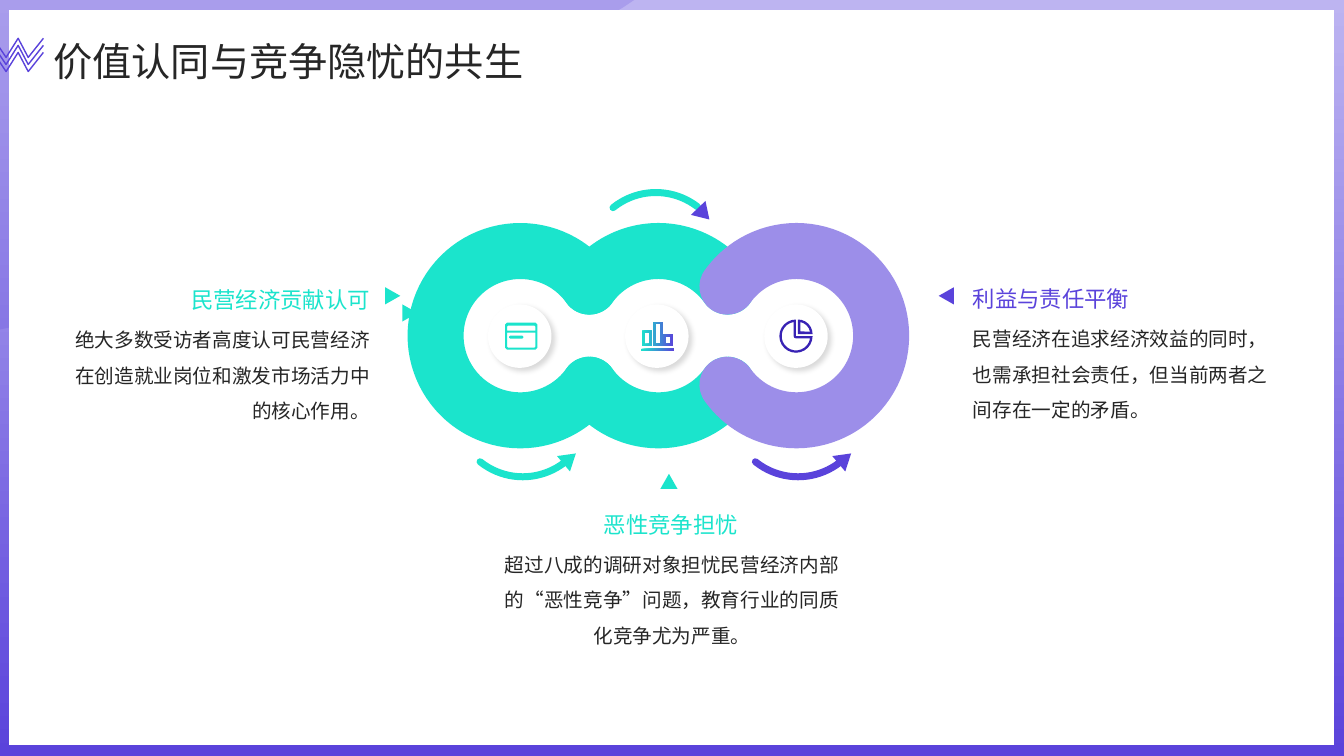
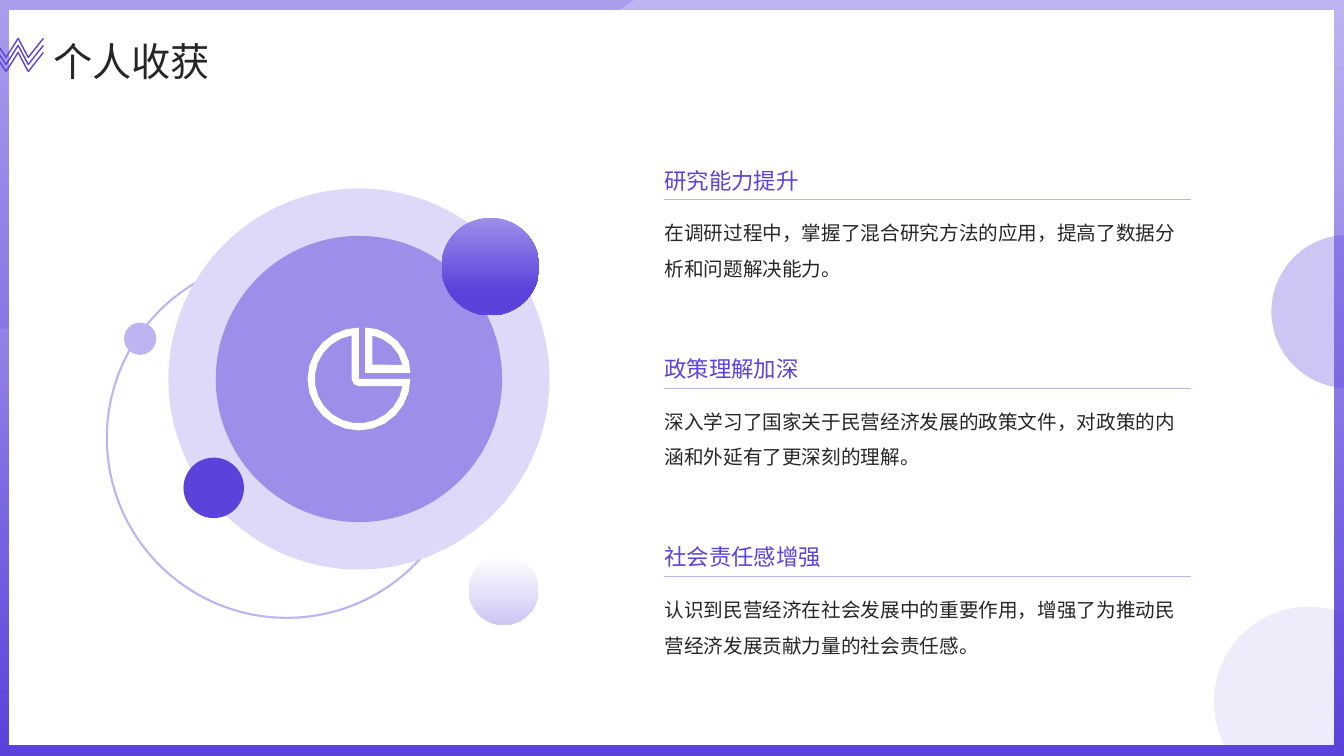
from math import acos, cos, degrees, radians, sin

from lxml import etree
from pptx import Presentation
from pptx.dml.color import RGBColor
from pptx.enum.lang import MSO_LANGUAGE_ID as LANG
from pptx.enum.shapes import MSO_CONNECTOR, MSO_SHAPE as SHAPE
from pptx.enum.text import MSO_ANCHOR as ANCHOR, MSO_AUTO_SIZE, PP_ALIGN as ALIGN
from pptx.oxml.ns import qn
from pptx.util import Inches, Pt

FONT = "Noto Sans CJK SC"
PURPLE, VIOLET, LILAC, PALE = "5A43DB", "9C8EE9", "BDB4F1", "DED9F8"
TEAL, INDIGO, INK, WHITE = "1BE4CC", "3822B4", "262626", "FFFFFF"
rgb = RGBColor.from_string


def write(sp, text, size=14, color=INK, align=ALIGN.LEFT, anchor=ANCHOR.TOP,
          spacing=1.5, inset=0.0):
    tf = sp.text_frame
    tf.word_wrap = True
    tf.auto_size = MSO_AUTO_SIZE.NONE
    tf.vertical_anchor = anchor
    tf.margin_left = tf.margin_right = Inches(inset)
    tf.margin_top = tf.margin_bottom = Inches(inset / 2)
    p = tf.paragraphs[0]
    p.alignment = align
    p.line_spacing = spacing
    p.space_before = Pt(0)
    r = p.add_run()
    r.text = text
    r.font.size = Pt(size)
    r.font.name = FONT
    r.font.color.rgb = rgb(color)
    r.font.language_id = LANG.SIMPLIFIED_CHINESE
    etree.SubElement(r.font._element, qn("a:ea"), typeface=FONT)


def draw(s, what, box=None, fill=None, line=None, width=1, alpha=None, rot=0,
         angles=None, gradient_angle=270, gradient_end=1):
    """Draw a preset shape, a "line" (box holds both ends) or a list of outlines.

    A pair of colours as fill gives a gradient; angles are the clockwise
    start and end of an arc. Outlines without a fill stay open.
    """
    if what == "line":
        sp = s.shapes.add_connector(MSO_CONNECTOR.STRAIGHT, *map(Inches, box))
    elif isinstance(what, list):
        outlines = [[(Inches(x), Inches(y)) for x, y in points] for points in what]
        builder = s.shapes.build_freeform(*outlines[0][0], scale=1.0)
        for n, points in enumerate(outlines):
            if n:
                builder.move_to(*points[0])
            builder.add_line_segments(points[1:], close=fill is not None)
        sp = builder.convert_to_shape()
    else:
        sp = s.shapes.add_shape(what, *map(Inches, box))
        sp.rotation = rot
    if angles:
        for n, angle in enumerate(angles):
            sp.adjustments[n] = angle % 360 * 0.6
    if line:
        sp.line.color.rgb = rgb(line)
        sp.line.width = Pt(width)
        if angles:
            sp.element.spPr.get_or_add_ln().set("cap", "rnd")
    else:
        sp.line.fill.background()
    if what == "line":
        etree.SubElement(sp.element.spPr, qn("a:effectLst"))
        return sp
    if fill is None:
        sp.fill.background()
    elif isinstance(fill, tuple):
        sp.fill.gradient()
        sp.fill.gradient_angle = gradient_angle
        for stop, color, place in zip(sp.fill.gradient_stops, fill, (0, gradient_end)):
            stop.color.rgb = rgb(color)
            stop.position = place
    else:
        sp.fill.solid()
        sp.fill.fore_color.rgb = rgb(fill)
        if alpha:
            color = sp.element.spPr.find(qn("a:solidFill")).find(qn("a:srgbClr"))
            etree.SubElement(color, qn("a:alpha"), val=str(alpha * 1000))
    sp.shadow.inherit = False
    return sp


prs = Presentation()
prs.slide_width, prs.slide_height = Inches(13.33), Inches(7.5)

# Shared frame, title and zigzag
corner = [(-0.01, -0.02), (6.32, -0.02), (6.17, 0.08), (5.64, 0.38), (3.76, 0.24),
          (2.37, 1.24), (0.96, 1.59), (0.61, 2.92), (0.3, 3.17), (0.09, 3.25),
          (-0.01, 3.27)]
zigzag = [(-0.46, 0.6), (-0.33, 0.38), (-0.21, 0.57), (-0.06, 0.39),
          (0.06, 0.57), (0.18, 0.38), (0.28, 0.57), (0.43, 0.38)]
for heading in ("价值认同与竞争隐忧的共生", "个人收获"):
    s = prs.slides.add_slide(prs.slide_layouts[5])
    draw(s, SHAPE.RECTANGLE, (0, 0, 13.33, 7.5), (LILAC, PURPLE))
    draw(s, [corner], fill=PURPLE, alpha=20)
    draw(s, SHAPE.RECTANGLE, (0.09, 0.1, 13.14, 7.29), WHITE)
    for n in range(3):
        draw(s, [[(x, y + 0.07 * n) for x, y in zigzag]], line=PURPLE)
    title = s.shapes.title
    title.left, title.top, title.width, title.height = map(
        Inches, (0.43, 0.25, 11.88, 0.56))
    write(title, heading, size=28, anchor=ANCHOR.MIDDLE, spacing=1.3, inset=0.1)
    s.shapes.element.append(title.element)
chain_slide, gains_slide = prs.slides

# Pie icon outlines in a unit square: corner points, then arc (cx, cy, r, from, to)
pie_parts = [
    ([(0.5, 0.5)], (0.5, 0.5, 0.5, 0, 270)),
    ([(0.43, 0.5), (0.45, 0.55), (0.5, 0.57)], (0.5, 0.5, 0.43, 9.4, 260.6)),
    ([(0.56, 0.44)], (0.56, 0.44, 0.44, 270, 360)),
    ([(0.63, 0.36)], (0.56, 0.44, 0.37, 281, 348)),
]
pies = []
for left, top, size in ((7.73, 3.17, 0.33), (3.05, 3.25, 1.02)):
    pie = []
    for corners, (cx, cy, radius, start, end) in pie_parts:
        steps = round((end - start) / 15)
        turns = [radians(start + (end - start) * n / steps) for n in range(steps + 1)]
        points = corners + [(cx + radius * cos(t), cy + radius * sin(t)) for t in turns]
        pie.append([(left + size * x, top + size * y) for x, y in points])
    pies.append(pie)
chain_pie, gains_pie = pies

# Slide 1: chain of three rings
s = chain_slide
for left, top, start, end, line, head_box, head_rot, head_color in (
        (5.83, 1.91, 231, 307.7, TEAL, (6.88, 2.04, 0.2, 0.16), 136, PURPLE),
        (4.51, 3.38, 52.1, 128.8, TEAL, (5.55, 4.47, 0.2, 0.16), 50, TEAL),
        (7.24, 3.38, 52.1, 128.8, PURPLE, (8.28, 4.47, 0.2, 0.16), 50, PURPLE)):
    draw(s, SHAPE.ARC, (left, top, 1.35, 1.35), line=line, width=5, angles=(start, end))
    draw(s, SHAPE.ISOSCELES_TRIANGLE, head_box, head_color, rot=head_rot)

for left, top, rot, color in ((9.3, 2.86, 270, PURPLE), (3.81, 2.86, 90, TEAL),
                              (6.55, 4.7, 0, TEAL), (3.98, 3.03, 90, TEAL)):
    draw(s, SHAPE.ISOSCELES_TRIANGLE, (left, top, 0.17, 0.15), color, rot=rot)

for head_box, body_box, align, color, head, body in (
        ((0.71, 2.53, 2.96, 0.58), (0.72, 3.14, 2.95, 1.84), ALIGN.RIGHT, TEAL,
         "民营经济贡献认可",
         "绝大多数受访者高度认可民营经济在创造就业岗位和激发市场活力中的核心作用。"),
        ((9.65, 2.52, 2.96, 0.58), (9.65, 3.13, 2.95, 1.87), ALIGN.LEFT, PURPLE,
         "利益与责任平衡",
         "民营经济在追求经济效益的同时，也需承担社会责任，但当前两者之间存在一定的矛盾。"),
        ((5.18, 4.76, 2.95, 0.58), (4.92, 5.37, 3.49, 1.62), ALIGN.CENTER, TEAL,
         "恶性竞争担忧",
         "超过八成的调研对象担忧民营经济内部的“恶性竞争”问题，教育行业的同质化竞争尤为严重。")):
    write(s.shapes.add_textbox(*map(Inches, head_box)), head, size=16, color=color,
          align=align, anchor=ANCHOR.BOTTOM, spacing=1.1)
    write(s.shapes.add_textbox(*map(Inches, body_box)), body, align=align)

# Neighbouring rings meet halfway between their centres
ring_left, ring_top, ring_size, ring_step = 4.32, 2.49, 1.68, 1.37
gap = degrees(acos(ring_step / ring_size))
for n, start, end, color in ((0, gap, -gap, TEAL),
                             (1, 180 + gap, -gap, TEAL),
                             (1, gap, 180 - gap, TEAL),
                             (2, 180 + gap, 180 - gap, VIOLET)):
    draw(s, SHAPE.ARC, (ring_left + ring_step * n, ring_top, ring_size, ring_size),
         line=color, width=40, angles=(start, end))

for left in (4.84, 6.2, 7.58):
    disc = draw(s, SHAPE.OVAL, (left, 3.02, 0.63, 0.63), WHITE)
    effects = disc.element.spPr.find(qn("a:effectLst"))
    shadow = etree.SubElement(effects, qn("a:outerShdw"), blurRad=str(Pt(4)),
                              dist=str(Pt(3)), dir="2700000", algn="tl", rotWithShape="0")
    black = etree.SubElement(shadow, qn("a:srgbClr"), val="000000")
    etree.SubElement(black, qn("a:alpha"), val="15000")

# Card icon: rim, upper and lower opening, short text line
card = []
for x1, y1, x2, y2, cut_top, cut_bottom in ((5.01, 3.2, 5.33, 3.47, 0.02, 0.02),
                                            (5.03, 3.23, 5.31, 3.28, 0.01, 0),
                                            (5.03, 3.3, 5.31, 3.45, 0, 0.01),
                                            (5.05, 3.33, 5.19, 3.36, 0.01, 0.01)):
    card.append([(x1 + cut_top, y1), (x2 - cut_top, y1), (x2, y1 + cut_top),
                 (x2, y2 - cut_bottom), (x2 - cut_bottom, y2), (x1 + cut_bottom, y2),
                 (x1, y2 - cut_bottom), (x1, y1 + cut_top)])
draw(s, card, fill=TEAL)

bars = [[(6.36, 3.46), (6.68, 3.46), (6.68, 3.48), (6.36, 3.48)]]
for left, top in ((6.37, 3.28), (6.48, 3.19), (6.58, 3.32)):
    for edge in (0, 0.02):
        x1, x2, y1, y2 = left + edge, left + 0.09 - edge, top + edge, 3.43 - edge
        bars.append([(x1, y1), (x2, y1), (x2, y2), (x1, y2)])
draw(s, bars, fill=(TEAL, PURPLE), gradient_angle=0)
draw(s, chain_pie, fill=INDIGO)

# Slide 2: three gains beside a cluster of circles
s = gains_slide
for n, (head, body) in enumerate((
        ("研究能力提升", "在调研过程中，掌握了混合研究方法的应用，提高了数据分析和问题解决能力。"),
        ("政策理解加深", "深入学习了国家关于民营经济发展的政策文件，对政策的内涵和外延有了更深刻的理解。"),
        ("社会责任感增强",
         "认识到民营经济在社会发展中的重要作用，增强了为推动民营经济发展贡献力量的社会责任感。"))):
    top = 1.22 + 1.87 * n
    head_box, body_box = (6.59, top, 5.22, 0.7), (6.59, top + 0.86, 5.22, 0.97)
    write(s.shapes.add_textbox(*map(Inches, head_box)), head, size=16, color=PURPLE,
          anchor=ANCHOR.BOTTOM, spacing=1.3)
    write(s.shapes.add_textbox(*map(Inches, body_box)), body)
    draw(s, "line", (6.59, top + 0.76, 11.81, top + 0.76), line=LILAC, width=0.5)

for left, top, size, style in (
        (12.04, 6.02, 1.88, dict(fill=PURPLE, alpha=10)),
        (12.61, 2.33, 1.52, dict(fill=PURPLE, alpha=30)),
        (1.06, 2.56, 3.57, dict(line=LILAC, width=1.5)),
        (1.67, 1.87, 3.78, dict(fill=PALE)),
        (1.82, 4.54, 0.6, dict(fill=PURPLE)),
        (1.23, 3.2, 0.32, dict(fill=LILAC)),
        (4.65, 5.51, 0.69, dict(fill=(WHITE, "CDC7F4"))),
        (2.14, 2.34, 2.84, dict(fill=VIOLET)),
        (4.38, 2.16, 0.97, dict(fill=(VIOLET, PURPLE), gradient_end=0.75))):
    draw(s, SHAPE.OVAL, (left, top, size, size), **style)
draw(s, gains_pie, fill=WHITE)

prs.save("out.pptx")
